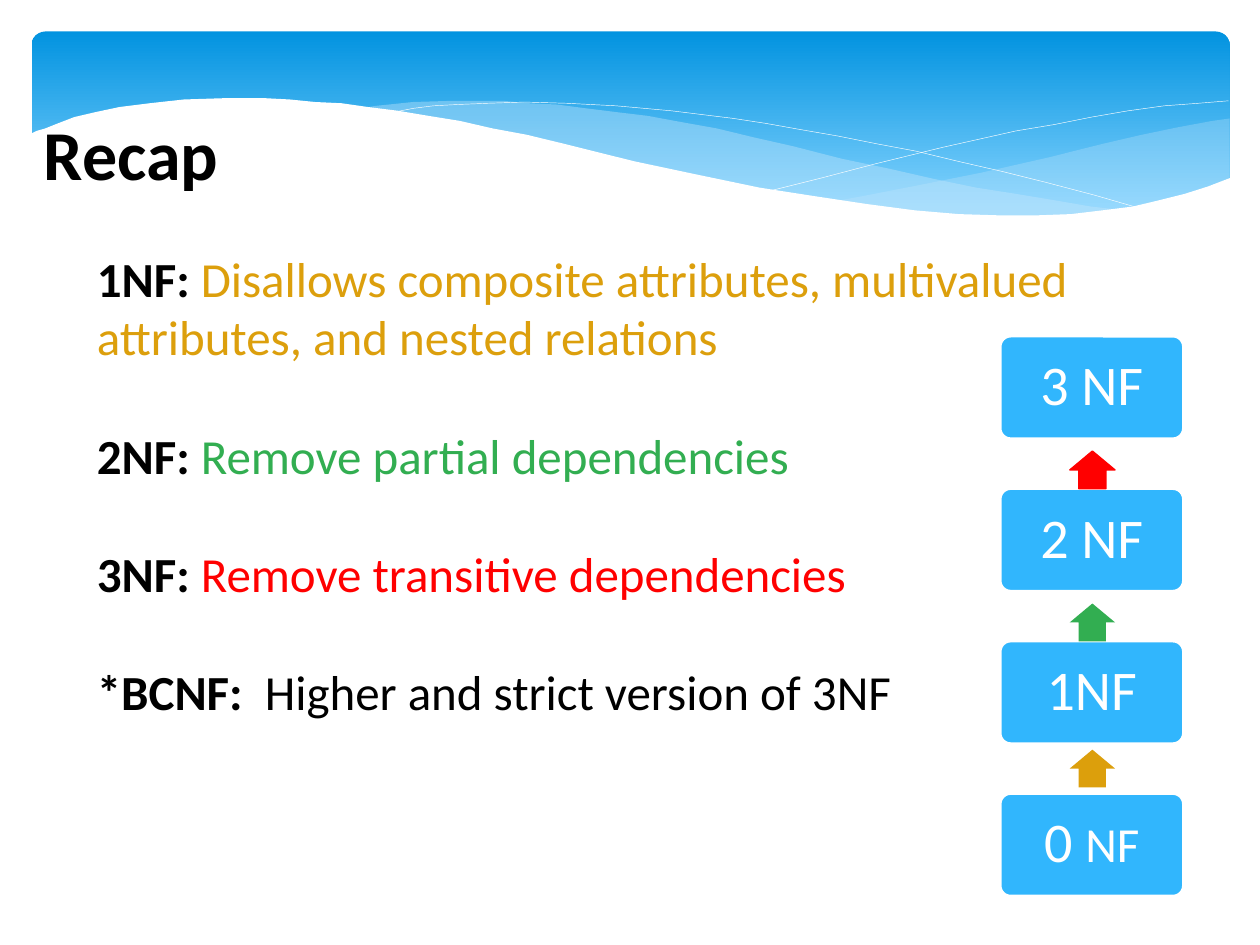
"""Build the normal forms recap slide."""
from lxml import etree
from pptx import Presentation
from pptx.dml.color import RGBColor
from pptx.enum import shapes, text
from pptx.oxml.ns import qn
from pptx.util import Inches, Pt


def rgb(code):
    return RGBColor.from_string(code)


def write(para, words, size, code, bold=False):
    run = para.add_run()
    run.text = words
    run.font.name = "Calibri"
    run.font.size = Pt(size)
    run.font.bold = bold
    run.font.color.rgb = rgb(code)


deck = Presentation()
deck.slide_width, deck.slide_height = Inches(10), Inches(7.5)
slide = deck.slides.add_slide(deck.slide_layouts[6])
tree = slide.shapes
kinds = shapes.MSO_SHAPE

band = tree.add_shape(kinds.ROUNDED_RECTANGLE, Inches(0.25), Inches(0.25),
                      Inches(9.51), Inches(1.56))
band.adjustments[0] = 0.071
band.shadow.inherit = False
band.line.fill.background()
band.fill.gradient()
band.fill.gradient_angle = 270
for stop, code, place in zip(band.fill.gradient_stops, ("0293E0", "83D3FE"), (0, 0.9)):
    stop.color.rgb = rgb(code)
    stop.position = place

swell = [(976, 94), (962, 96), (935, 101), (906, 107), (876, 114), (832, 125),
         (779, 137), (729, 147), (683, 156), (661, 160), (691, 164), (719, 167),
         (745, 169), (769, 171), (792, 172), (824, 172), (854, 170), (881, 167),
         (905, 163), (928, 158), (949, 152), (963, 147), (976, 141)]
ridge = [(893, 167), (866, 164), (837, 159), (807, 154), (775, 149), (741, 142),
         (706, 134), (668, 126), (629, 116), (598, 109), (569, 102), (541, 97),
         (514, 92), (489, 89), (465, 86), (442, 83), (420, 82), (399, 80),
         (361, 80), (328, 81), (299, 84), (286, 86), (323, 90), (362, 97),
         (404, 106), (449, 116), (491, 126), (530, 135), (566, 143), (601, 150),
         (634, 156), (665, 161), (695, 165), (722, 168), (748, 170), (773, 172),
         (796, 173), (828, 173), (857, 171), (876, 169)]
fall = [(309, 90), (318, 88), (328, 86), (344, 84), (363, 83), (387, 82),
        (416, 81), (450, 82), (489, 84), (533, 88), (582, 94), (608, 98),
        (636, 103), (665, 108), (695, 114), (727, 120), (760, 128), (795, 136),
        (831, 145), (869, 155), (907, 166)]
rise = [(613, 151), (653, 141), (695, 130), (748, 117), (806, 104), (836, 99),
        (866, 93), (895, 88), (924, 84), (951, 82), (975, 80)]
base = [(977, 141), (959, 148), (940, 154), (920, 159), (899, 164), (875, 167),
        (850, 170), (823, 171), (793, 171), (761, 170), (726, 167), (688, 162),
        (648, 156), (603, 149), (555, 139), (503, 128), (447, 114), (418, 107),
        (391, 102), (365, 96), (340, 92), (316, 88), (292, 85), (271, 82),
        (250, 81), (230, 79), (211, 78), (177, 78), (146, 79), (119, 82),
        (95, 85), (76, 89), (59, 93), (46, 98), (36, 102), (29, 104),
        (23, 107), (23, 224), (977, 224)]

waves = [(swell, "C6E7FC", 29), (ridge, "C6E7FC", 40), (fall, None, 0),
         (rise, None, 0), (base, "FFFFFF", 100)]
for dots, code, alpha in waves:
    pen = tree.build_freeform(*dots[0], scale=Inches(0.01))
    pen.add_line_segments(dots[1:], close=code is not None)
    wave = pen.convert_to_shape()
    wave.shadow.inherit = False
    if code is None:
        wave.fill.background()
        wave.line.color.rgb = rgb("FFFFFF")
        wave.line.width = Pt(0.25)
        continue
    wave.line.fill.background()
    wave.fill.solid()
    wave.fill.fore_color.rgb = rgb(code)
    if alpha < 100:
        tint = wave.element.spPr.find(qn("a:solidFill"))[0]
        etree.SubElement(tint, qn("a:alpha"), val=str(alpha * 1000))

title = tree.add_textbox(Inches(0.25), Inches(0.83), Inches(5.67), Inches(0.77))
title.text_frame.word_wrap = True
write(title.text_frame.paragraphs[0], "Recap", 40, "000000", True)

body = tree.add_textbox(Inches(0.67), Inches(1.92), Inches(8.92), Inches(4.34))
frame = body.text_frame
frame.word_wrap = True
rules = [
    ("1NF: ", "Disallows composite attributes, multivalued attributes, "
     "and nested relations", "DC9F0C"),
    ("2NF: ", "Remove partial dependencies", "32AE51"),
    ("3NF: ", "Remove transitive dependencies", "FF0000"),
    ("*BCNF:  ", "Higher and strict version of 3NF", "000000"),
]
for row, (form, rule, code) in enumerate(rules):
    para = frame.paragraphs[0]
    if row:
        para = frame.add_paragraph()
        para.space_before = Pt(34)
    write(para, form, 28, "000000", True)
    write(para, rule, 28, code)

steps = [[("3 NF", 32)], [("2 NF", 32)], [("1NF", 32)], [("0 ", 32), ("NF", 28)]]
for row, parts in enumerate(steps):
    box = tree.add_shape(kinds.ROUNDED_RECTANGLE, Inches(7.94),
                         Inches(2.67 + 1.21 * row), Inches(1.45), Inches(0.81))
    box.adjustments[0] = 0.1
    box.shadow.inherit = False
    box.fill.solid()
    box.fill.fore_color.rgb = rgb("31B6FD")
    box.line.color.rgb = rgb("FFFFFF")
    box.line.width = Pt(1.25)
    frame = box.text_frame
    frame.word_wrap = True
    frame.vertical_anchor = text.MSO_ANCHOR.MIDDLE
    frame.margin_left = frame.margin_right = Inches(0.15)
    frame.margin_top = frame.margin_bottom = Inches(0.15)
    para = frame.paragraphs[0]
    para.alignment = text.PP_ALIGN.CENTER
    para.line_spacing = 0.9
    for words, size in parts:
        write(para, words, size, "FFFFFF")

for top, code in ((3.58, "FF0000"), (4.79, "32AE51"), (5.95, "DC9F0C")):
    arrow = tree.add_shape(kinds.UP_ARROW, Inches(8.49), Inches(top),
                           Inches(0.36), Inches(0.3))
    arrow.adjustments[0], arrow.adjustments[1] = 0.6, 0.5
    arrow.shadow.inherit = False
    arrow.fill.solid()
    arrow.fill.fore_color.rgb = rgb(code)
    if code == "FF0000":
        arrow.line.color.rgb = rgb(code)
        arrow.line.width = Pt(0.75)
    else:
        arrow.line.fill.background()

deck.save("out.pptx")
